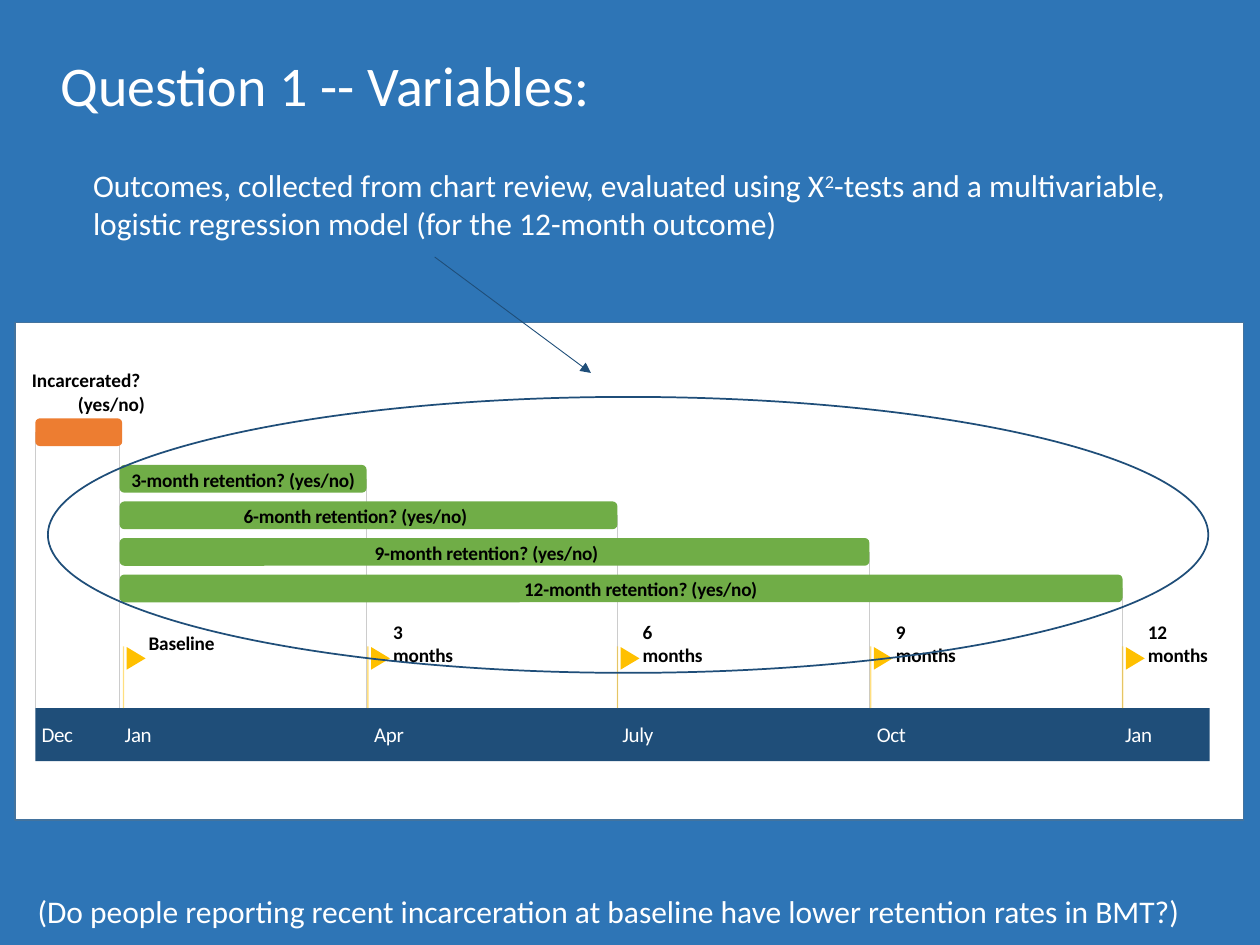
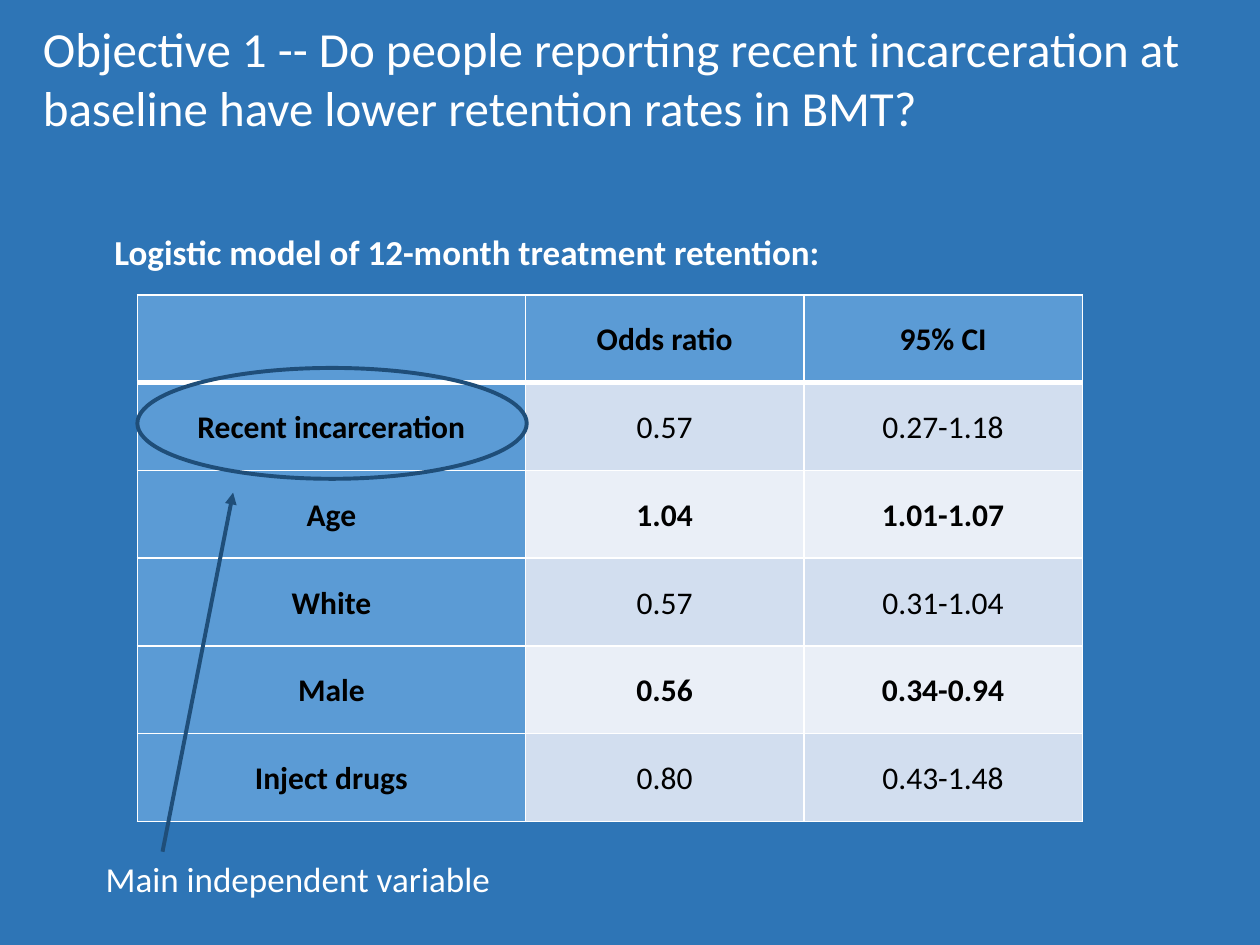
from dataclasses import dataclass

from lxml import etree
from pptx import Presentation
from pptx.dml.color import RGBColor
from pptx.enum.shapes import MSO_CONNECTOR, MSO_SHAPE
from pptx.enum.text import MSO_ANCHOR as Anchor, MSO_AUTO_SIZE as AutoSize, PP_ALIGN as Align
from pptx.oxml.ns import qn
from pptx.util import Inches, Pt


@dataclass(frozen=True)
class Theme:
    font: str = "Calibri"
    background: str = "2E75B6"
    white: str = "FFFFFF"
    black: str = "000000"
    navy: str = "1F4E79"
    panel_line: str = "43739E"
    grid: str = "CCCCCC"
    amber: str = "FFC000"
    orange: str = "ED7D31"
    green: str = "70AD47"
    header: str = "5B9BD5"
    bands: tuple = ("D2DEEF", "EAEFF7")
    title: int = 32
    long_title: int = 28
    heading: int = 20
    body: int = 18
    month: int = 12
    label: int = 11


THEME = Theme()

TIMELINE_LEFT, TIMELINE_TOP = 0.28, 5.62
BASELINE_LEFT = 0.95
BAR_TOP, BAR_HEIGHT, BAR_STEP = 3.69, 0.22, 0.29

MONTHS = [("Dec", 0.33), ("Jan", 0.99), ("Apr", 2.97),
          ("July", 4.94), ("Oct", 6.96), ("Jan", 8.93)]
# caption, flag position, caption width
MILESTONES = [("Baseline", 0.98, 0.64), ("3 months", 2.92, 0.48), ("6 months", 4.9, 0.48),
              ("9 months", 6.91, 0.48), ("12 months", 8.91, 0.55)]
# caption, bar end, caption left, caption width
RETENTION = [("3-month retention? (yes/no)", 2.91, 0.96, 1.94),
             ("6-month retention? (yes/no)", 4.9, 1.63, 2.38),
             ("9-month retention? (yes/no)", 6.9, 2.84, 2.04),
             ("12-month retention? (yes/no)", 8.91, 3.98, 2.21)]

MODEL_HEADINGS = ["", "Odds ratio", "95% CI"]
# variable, odds ratio, confidence interval, significant
MODEL = [("Recent incarceration", "0.57", "0.27-1.18", False),
         ("Age", "1.04", "1.01-1.07", True),
         ("White", "0.57", "0.31-1.04", False),
         ("Male", "0.56", "0.34-0.94", True),
         ("Inject drugs", "0.80", "0.43-1.48", False)]


def rgb(color):
    return RGBColor.from_string(color)


def add_run(paragraph, text, size, color, bold=False, spacing=None, baseline=None):
    """Spacing is in hundredths of a point, baseline in thousandths of a percent."""
    run = paragraph.add_run()
    run.text = text
    font = run.font
    font.name, font.size, font.bold = THEME.font, Pt(size), bold
    font.color.rgb = rgb(color)
    properties = run._r.get_or_add_rPr()
    for name, value in (("spc", spacing), ("baseline", baseline)):
        if value is not None:
            properties.set(name, str(value))


def add_text_box(slide, left, top, width, height):
    box = slide.shapes.add_textbox(Inches(left), Inches(top), Inches(width), Inches(height))
    frame = box.text_frame
    frame.word_wrap = True
    return frame


def add_note(slide, box, text, size, bold=False):
    frame = add_text_box(slide, *box)
    add_run(frame.paragraphs[0], text, size, THEME.white, bold)


def remove_margins(frame):
    frame.margin_left = frame.margin_right = frame.margin_top = frame.margin_bottom = 0
    frame.vertical_anchor = Anchor.MIDDLE


def add_caption(slide, box, lines, align=Align.LEFT, spacing=-10):
    """Small bold diagram text without margins, centred in its height."""
    frame = add_text_box(slide, *box)
    remove_margins(frame)
    if len(lines) == 1:
        frame.auto_size = AutoSize.SHAPE_TO_FIT_TEXT
    for index, line in enumerate(lines):
        paragraph = frame.add_paragraph() if index else frame.paragraphs[0]
        paragraph.alignment = align
        add_run(paragraph, line, THEME.label, THEME.black, True, spacing)


def add_month(slide, name, left):
    frame = add_text_box(slide, left, 5.73, 0.5, 0.2)
    remove_margins(frame)
    add_run(frame.paragraphs[0], name, THEME.month, THEME.white, spacing=-20)


def add_title(slide, box, text, size):
    title = slide.shapes.title
    title.left, title.top, title.width, title.height = map(Inches, box)
    frame = title.text_frame
    frame.word_wrap = True
    frame.auto_size = AutoSize.NONE
    frame.vertical_anchor = Anchor.TOP
    paragraph = frame.paragraphs[0]
    paragraph.alignment = Align.LEFT
    add_run(paragraph, text, size, THEME.white)


def add_figure(slide, kind, box, fill=None, line=None, weight=1):
    shape = slide.shapes.add_shape(kind, *map(Inches, box))
    shape.shadow.inherit = False
    if fill:
        shape.fill.solid()
        shape.fill.fore_color.rgb = rgb(fill)
    else:
        shape.fill.background()
    if line:
        shape.line.color.rgb = rgb(line)
        shape.line.width = Pt(weight)
    else:
        shape.line.fill.background()
    return shape


def add_line(slide, start, end, color, weight=0.75, opacity=None, arrow=False):
    connector = slide.shapes.add_connector(
        MSO_CONNECTOR.STRAIGHT, *map(Inches, (*start, *end)))
    connector.line.color.rgb = rgb(color)
    connector.line.width = Pt(weight)
    properties = connector._element.spPr
    outline = properties.find(qn("a:ln"))
    if opacity:
        color_element = outline.find(".//" + qn("a:srgbClr"))
        etree.SubElement(color_element, qn("a:alpha"), val=str(opacity * 1000))
    if arrow:
        etree.SubElement(outline, qn("a:tailEnd"), type="triangle")
    etree.SubElement(properties, qn("a:effectLst"))


def set_borders(cell, top, bottom):
    """White cell borders; they have to stand before the fill."""
    properties = cell._tc.get_or_add_tcPr()
    weights = {"a:lnL": 1, "a:lnR": 1, "a:lnT": top, "a:lnB": bottom}
    for index, (tag, weight) in enumerate(weights.items()):
        border = etree.Element(qn(tag), w=str(Pt(weight)))
        fill = etree.SubElement(border, qn("a:solidFill"))
        etree.SubElement(fill, qn("a:srgbClr"), val=THEME.white)
        properties.insert(index, border)


def fill_cell(cell, text, fill, bold, top=1, bottom=1):
    cell.fill.solid()
    cell.fill.fore_color.rgb = rgb(fill)
    set_borders(cell, top, bottom)
    cell.vertical_anchor = Anchor.MIDDLE
    cell.margin_left = cell.margin_right = Inches(0.08)
    cell.margin_top = cell.margin_bottom = 0
    if text:
        paragraph = cell.text_frame.paragraphs[0]
        paragraph.alignment = Align.CENTER
        paragraph.line_spacing = 1.07
        add_run(paragraph, text, THEME.body, THEME.black, bold)


def add_model_table(slide):
    table = slide.shapes.add_table(
        len(MODEL) + 1, len(MODEL_HEADINGS),
        Inches(1.09), Inches(2.34), Inches(7.5), Inches(4.18)).table
    for column, width in zip(table.columns, (3.08, 2.21, 2.21)):
        column.width = Inches(width)
    for column, heading in enumerate(MODEL_HEADINGS):
        fill_cell(table.cell(0, column), heading, THEME.header, True, bottom=3)
    for row, (*values, significant) in enumerate(MODEL, start=1):
        band = THEME.bands[(row - 1) % 2]
        for column, value in enumerate(values):
            is_name = column == 0
            fill_cell(table.cell(row, column), value, THEME.header if is_name else band,
                      is_name or significant, top=3 if row == 1 else 1)


def add_timeline(slide):
    for left in (TIMELINE_LEFT, BASELINE_LEFT):
        add_line(slide, (left, 3.43), (left, TIMELINE_TOP), THEME.grid)
    for index, (_, end, _, _) in enumerate(RETENTION):
        middle = BAR_TOP + index * BAR_STEP + BAR_HEIGHT / 2
        add_line(slide, (end, middle), (end, TIMELINE_TOP), THEME.grid)
    add_figure(slide, MSO_SHAPE.RECTANGLE, (TIMELINE_LEFT, TIMELINE_TOP, 9.32, 0.42), THEME.navy)
    for name, left in MONTHS:
        add_month(slide, name, left)
    for caption, left, width in MILESTONES:
        add_line(slide, (left, 5.13), (left, TIMELINE_TOP), THEME.amber, opacity=50)
        flag = add_figure(slide, MSO_SHAPE.FLOWCHART_MERGE,
                          (left + 0.01, 5.15, 0.18, 0.15), THEME.amber)
        flag.rotation = 270
        add_caption(slide, (left + 0.2, 5.01, width, 0.19), [caption])


def add_bars(slide):
    add_figure(slide, MSO_SHAPE.ROUNDED_RECTANGLE,
               (TIMELINE_LEFT, 3.32, 0.69, BAR_HEIGHT), THEME.orange)
    add_caption(slide, (0.24, 2.98, 0.91, 0.26), ["Incarcerated? ", "(yes/no)"],
                Align.RIGHT, spacing=None)
    for index, (caption, end, left, width) in enumerate(RETENTION):
        top = BAR_TOP + index * BAR_STEP
        add_figure(slide, MSO_SHAPE.ROUNDED_RECTANGLE,
                   (BASELINE_LEFT, top, end - BASELINE_LEFT, BAR_HEIGHT), THEME.green)
        add_caption(slide, (left, top + 0.02, width, 0.19), [caption], Align.CENTER)


def add_outcomes_note(slide):
    paragraph = add_text_box(slide, 0.64, 1.27, 8.93, 1.01).paragraphs[0]
    for text, baseline in (
            ("Outcomes, collected from chart review, evaluated using Χ", None),
            ("2", 30000),
            ("-tests and a multivariable, logistic regression model "
             "(for the 12-month outcome)", None)):
        add_run(paragraph, text, THEME.body, THEME.white, baseline=baseline)


def build_variables_slide(slide):
    add_title(slide, (0.38, 0.35, 9.62, 0.64), "Question 1 -- Variables:", THEME.title)
    add_figure(slide, MSO_SHAPE.RECTANGLE, (0.12, 2.56, 9.75, 3.95),
               THEME.white, THEME.panel_line)
    add_timeline(slide)
    add_bars(slide)
    add_outcomes_note(slide)
    add_line(slide, (3.45, 2.04), (4.69, 2.96), THEME.navy, 0.5, arrow=True)
    add_figure(slide, MSO_SHAPE.OVAL, (0.38, 3.15, 9.21, 2.19), line=THEME.navy)
    add_note(slide, (0.2, 7.03, 9.7, 0.4),
             "(Do people reporting recent incarceration at baseline "
             "have lower retention rates in BMT?)", THEME.body)


def build_model_slide(slide):
    add_title(slide, (0.24, 0.1, 9.62, 1.04),
              "Objective 1 -- Do people reporting recent incarceration at baseline "
              "have lower retention rates in BMT?", THEME.long_title)
    add_model_table(slide)
    add_note(slide, (0.81, 1.78, 7.1, 0.44),
             "Logistic model of 12-month treatment retention:", THEME.heading, bold=True)
    add_figure(slide, MSO_SHAPE.OVAL, (1.09, 2.92, 3.09, 0.88), line=THEME.navy, weight=2.25)
    add_line(slide, (1.29, 6.76), (1.85, 3.91), THEME.navy, 2.25, arrow=True)
    add_note(slide, (0.74, 6.76, 6.33, 0.44), "Main independent variable", THEME.heading)


def main():
    presentation = Presentation()
    presentation.slide_width, presentation.slide_height = Inches(10), Inches(7.5)
    background = presentation.slide_master.background.fill
    background.solid()
    background.fore_color.rgb = rgb(THEME.background)
    title_only = presentation.slide_layouts.get_by_name("Title Only")
    for build in (build_variables_slide, build_model_slide):
        build(presentation.slides.add_slide(title_only))
    presentation.save("out.pptx")


if __name__ == "__main__":
    main()
